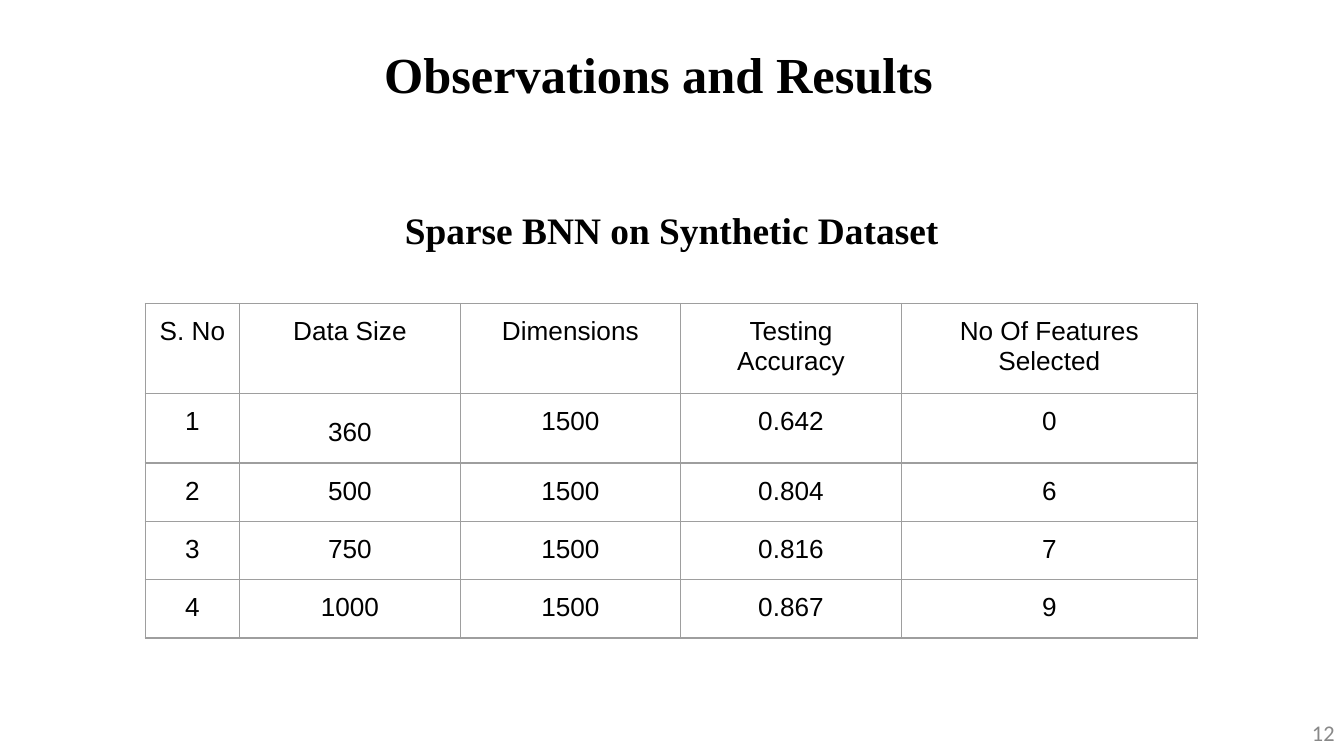
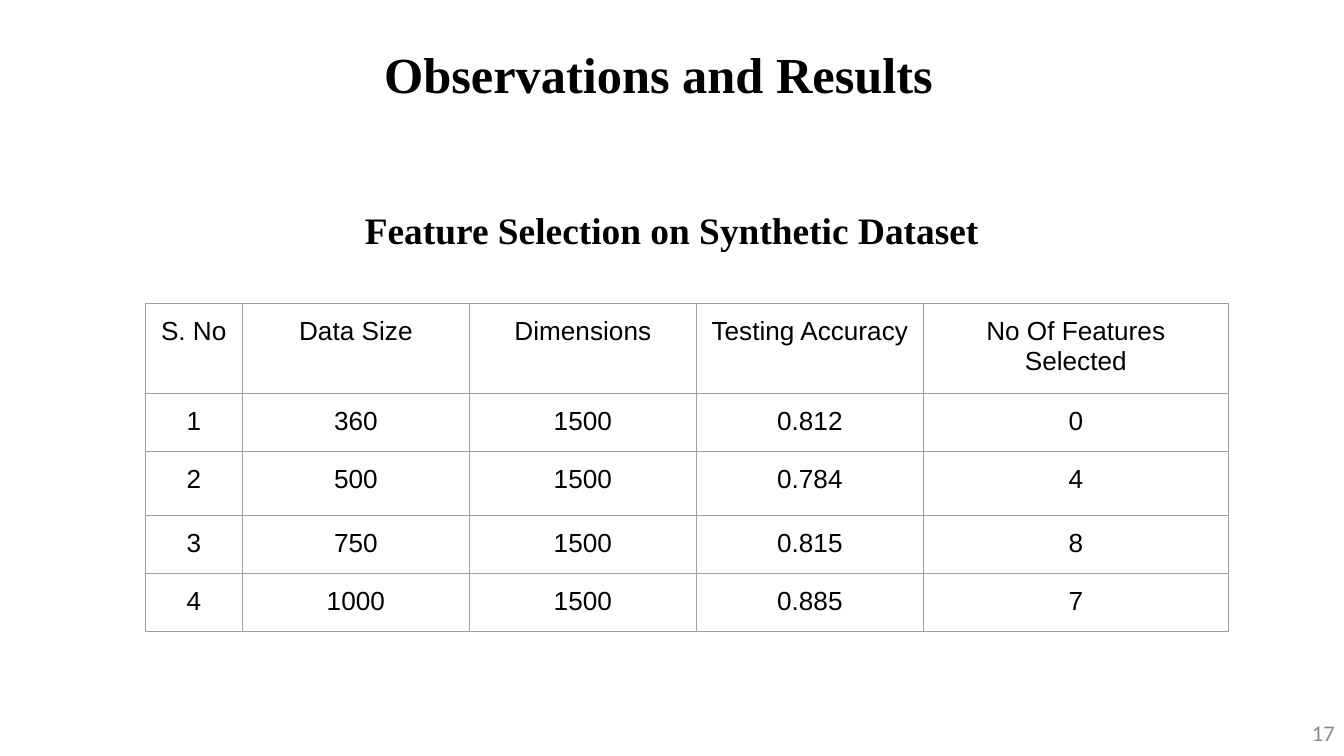
from dataclasses import dataclass

from lxml.etree import SubElement
from pptx import Presentation
from pptx.dml.color import RGBColor as Rgb
from pptx.enum.text import MSO_ANCHOR as Anchor, MSO_AUTO_SIZE as Fit, PP_ALIGN as Align
from pptx.oxml.ns import qn
from pptx.util import Inches, Pt


@dataclass(frozen=True)
class Theme:
    ink: str = "000000"
    muted: str = "888888"
    rule: str = "9E9E9E"
    paper: str = "FFFFFF"
    serif: str = "Times New Roman"
    sans: str = "Arial"
    foot: str = "Calibri"
    title: int = 27
    head: int = 20
    cell: int = 14
    page: int = 12
    line: float = 0.75
    pad: float = 0.1


THEME = Theme()
WIDE = Inches(10)
HIGH = WIDE * 9 // 16

# Boxes are left, top, width, height in percent of the slide.
TITLE = (24.95, 3.9, 48.1, 11.7)
HEAD = (22.15, 25.65, 55.7, 9.6)
PAGE = (77.5, 94.3, 22.5, 5.3)

COLS = (3, 7, 7, 7, 9.4)  # relative column widths
TOP_ROW, ROW, TALL_ROW = 11.9, 7.7, 8.4
LABELS = ("S. No", "Data Size", "Dimensions", "Testing Accuracy", "No Of Features Selected")
SIZES = (360, 500, 750, 1000)
DIMS = 1500


def across(share):
    return round(WIDE * share / 100)


def down(share):
    return round(HIGH * share / 100)


def place(shape, box):
    left, top, width, height = box
    shape.left, shape.top = across(left), down(top)
    shape.width, shape.height = across(width), down(height)


def inset(frame, side, edge):
    frame.margin_left = frame.margin_right = Inches(side)
    frame.margin_top = frame.margin_bottom = Inches(edge)


def write(frame, text, face, size, color=THEME.ink, bold=False, align=Align.CENTER):
    """Fill a text frame with one styled paragraph and return it."""
    frame.text = text
    para = frame.paragraphs[0]
    para.alignment = align
    font = para.font
    font.name, font.size, font.bold = face, Pt(size), bold
    font.color.rgb = Rgb.from_string(color)
    return para


def heading(shape, box, text, size):
    place(shape, box)
    frame = shape.text_frame
    frame.word_wrap = True
    frame.vertical_anchor = Anchor.TOP
    frame.auto_size = Fit.SHAPE_TO_FIT_TEXT
    inset(frame, THEME.pad, THEME.pad)
    write(frame, text, THEME.serif, size, bold=True)


def footer(slide, box, number):
    shape = slide.shapes.add_textbox(0, 0, 0, 0)
    place(shape, box)
    frame = shape.text_frame
    frame.word_wrap = True
    frame.vertical_anchor = Anchor.MIDDLE
    inset(frame, 0.07, 0.04)
    write(frame, str(number), THEME.foot, THEME.page, THEME.muted, align=Align.RIGHT)


def outline(cell):
    props = cell._tc.get_or_add_tcPr()
    for side in ("lnL", "lnR", "lnT", "lnB"):
        edge = SubElement(props, qn(f"a:{side}"), w=str(Pt(THEME.line)))
        fill = SubElement(edge, qn("a:solidFill"))
        SubElement(fill, qn("a:srgbClr"), val=THEME.rule)


def results(slide, box, scores, counts, heights, leading):
    """Draw the table; leading maps (row, column) to a line spacing."""
    body = zip(range(1, len(SIZES) + 1), SIZES, [DIMS] * len(SIZES), scores, counts)
    rows = [LABELS, *body]
    left, top, width = box
    frame = slide.shapes.add_table(len(rows), len(COLS), across(left), down(top),
                                   across(width), down(sum(heights)))
    table = frame.table
    table.first_row = table.horz_banding = False
    for col, part in zip(table.columns, COLS):
        col.width = across(width * part / sum(COLS))
    for row, height in zip(table.rows, heights):
        row.height = down(height)
    for r, row in enumerate(rows):
        for c, value in enumerate(row):
            cell = table.cell(r, c)
            inset(cell, THEME.pad, THEME.pad)
            outline(cell)
            cell.fill.background()
            para = write(cell.text_frame, str(value), THEME.sans, THEME.cell)
            if (r, c) in leading:
                para.line_spacing = leading[r, c]


def report(deck, number, head, width, scores, counts, heights, leading):
    slide = deck.slides.add_slide(deck.slide_layouts.get_by_name("Title Only"))
    fill = slide.background.fill
    fill.solid()
    fill.fore_color.rgb = Rgb.from_string(THEME.paper)
    footer(slide, PAGE, number)
    heading(slide.shapes.title, TITLE, "Observations and Results", THEME.title)
    heading(slide.shapes.add_textbox(0, 0, 0, 0), HEAD, head, THEME.head)
    results(slide, (10.8, 40.15, width), scores, counts, heights, leading)


def main():
    deck = Presentation()
    deck.slide_width, deck.slide_height = WIDE, HIGH
    report(deck, 12, "Sparse BNN on Synthetic Dataset", 78.3,
           (0.642, 0.804, 0.816, 0.867), (0, 6, 7, 9),
           (TOP_ROW, ROW, ROW, ROW, ROW), {(1, 1): 1.36})
    report(deck, 17, "Feature Selection on Synthetic Dataset", 80.6,
           (0.812, 0.784, 0.815, 0.885), (0, 4, 8, 7),
           (TOP_ROW, ROW, TALL_ROW, ROW, ROW), {})
    deck.save("out.pptx")


if __name__ == "__main__":
    main()
